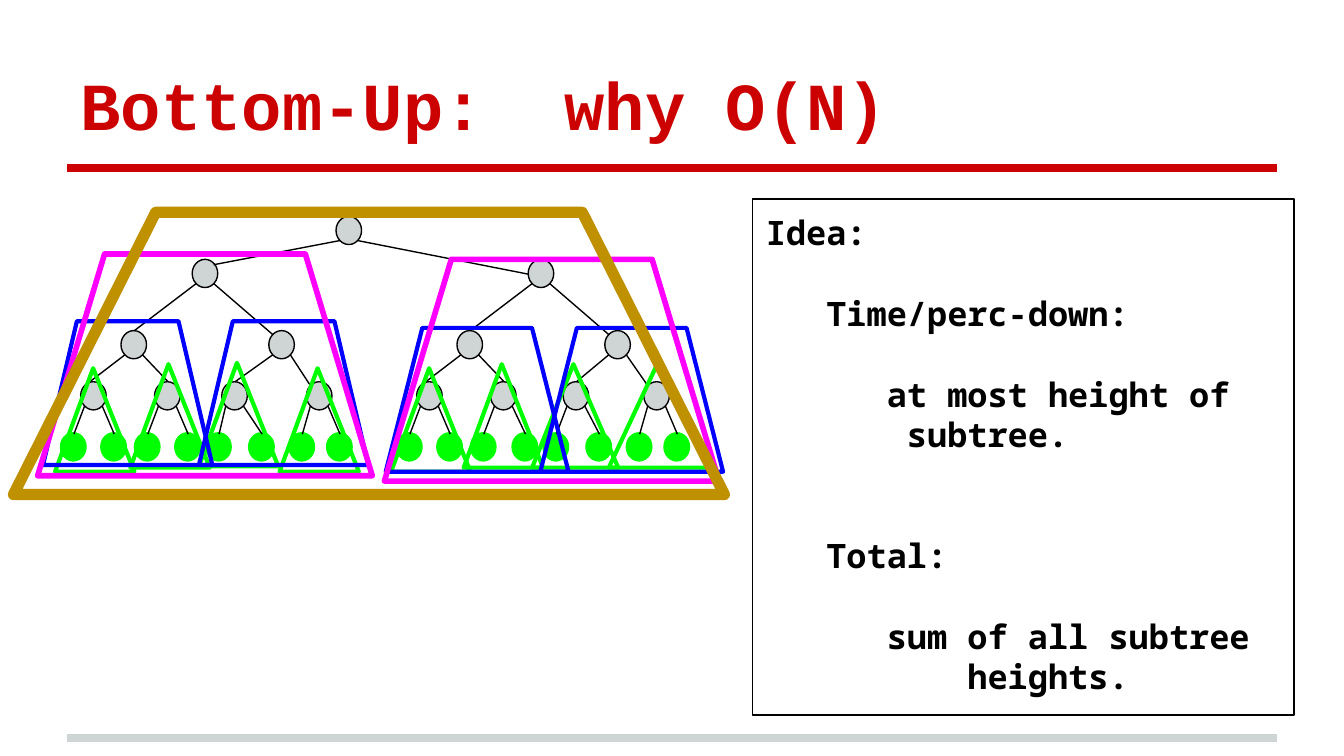
from dataclasses import dataclass
from itertools import cycle

from lxml.etree import SubElement
from pptx import Presentation
from pptx.dml.color import RGBColor
from pptx.enum.shapes import MSO_CONNECTOR as Connector, MSO_SHAPE as Shape
from pptx.enum.text import MSO_ANCHOR as Anchor, PP_ALIGN as Align
from pptx.oxml.ns import qn
from pptx.util import Inches, Pt

BLACK, GREY, RED = "000000", "CFD4D4", "CC0202"
GREEN, BLUE, MAGENTA, GOLD = "00FF00", "0000FF", "FF00FF", "BF9000"
SLIDE_WIDTH, SLIDE_HEIGHT = 10, 10 * 9 / 16
NODE_WIDTH, NODE_HEIGHT = 0.19, 0.21
CHARACTER_WIDTH, LINE_HEIGHT = 0.15, 21.6


@dataclass
class Level:
    top: float
    lefts: list
    landings: list
    line: str = BLACK
    fill: str = GREY


@dataclass
class Outline:
    kind: Shape
    color: str
    weight: float
    boxes: list


@dataclass
class Line:
    text: str
    indent: int = 0
    blanks_before: int = 0


LEVELS = [
    Level(1.61, [2.5], []),
    Level(1.93, [1.43, 3.93], [(0.16, 0.04), (0, 0.11)]),
    Level(2.46, [0.9, 2, 3.4, 4.5], [(0.1, 0), (0.03, 0.03)]),
    Level(2.84, [0.6, 1.15, 1.65, 2.28, 3.1, 3.65, 4.19, 4.79],
          [(0.03, 0.03), (0.1, 0), (0.1, 0), (0.03, 0.03)]),
    Level(3.22, [0.45, 0.75, 1, 1.3, 1.53, 1.85, 2.15, 2.43,
                 2.95, 3.25, 3.5, 3.81, 4.04, 4.36, 4.66, 4.94],
          [(0.1, 0.01)], GREEN, GREEN),
]

OUTLINES = [
    Outline(Shape.ISOSCELES_TRIANGLE, GREEN, 2.25, [
        (4.53, 2.71, 0.75, 0.77), (3.96, 2.71, 0.64, 0.77),
        (3.45, 2.71, 0.59, 0.77), (2.91, 2.74, 0.59, 0.77),
        (2.08, 2.74, 0.59, 0.77), (1.48, 2.7, 0.59, 0.77),
        (0.97, 2.71, 0.59, 0.77), (0.41, 2.74, 0.59, 0.77)]),
    Outline(Shape.FLOWCHART_MANUAL_OPERATION, BLUE, 2.25, [
        (4.02, 2.44, 1.36, 1.07), (2.87, 2.44, 1.36, 1.07),
        (1.48, 2.39, 1.26, 1.07), (0.32, 2.39, 1.26, 1.07)]),
    Outline(Shape.FLOWCHART_MANUAL_OPERATION, MAGENTA, 3, [
        (2.86, 1.93, 2.49, 1.65), (0.28, 1.89, 2.49, 1.65)]),
    Outline(Shape.FLOWCHART_MANUAL_OPERATION, GOLD, 6, [(0.1, 1.58, 5.29, 2.1)]),
]

IDEA = [
    Line("Idea:"),
    Line("Time/perc-down:", 3, 1),
    Line("at most height of", 6, 1),
    Line("subtree.", 7),
    Line("Total:", 3, 2),
    Line("sum of all subtree", 6, 1),
    Line("heights.", 10),
]


def rgb(color: str) -> RGBColor:
    """Turn a hex string into a colour."""
    return RGBColor.from_string(color)


def add_line(slide, start: tuple, end: tuple, color: str, weight: float):
    """Draw a straight line without a shadow."""
    line = slide.shapes.add_connector(
        Connector.STRAIGHT, *[Inches(value) for value in (*start, *end)])
    line.line.color.rgb = rgb(color)
    line.line.width = Pt(weight)
    SubElement(line._element.spPr, qn("a:effectLst"))


def add_shape(slide, kind: Shape, box: tuple, color: str, weight: float, fill: str = ""):
    """Draw a preset shape, hollow unless a fill is given."""
    shape = slide.shapes.add_shape(kind, *[Inches(value) for value in box])
    shape.shadow.inherit = False
    if fill:
        shape.fill.solid()
        shape.fill.fore_color.rgb = rgb(fill)
    else:
        shape.fill.background()
    shape.line.color.rgb = rgb(color)
    shape.line.width = Pt(weight)
    return shape


def format_font(font, name: str, size: float, color: str):
    """Apply a bold typeface, size and colour."""
    font.name, font.size, font.bold = name, Pt(size), True
    font.color.rgb = rgb(color)


def set_margins(frame):
    """Give a text frame equal margins on all sides."""
    frame.margin_left = frame.margin_right = Inches(0.1)
    frame.margin_top = frame.margin_bottom = Inches(0.1)


def add_title(slide, text: str):
    """Place and format the title placeholder."""
    title = slide.shapes.title
    title.left, title.top = Inches(0.5), Inches(0.23)
    title.width, title.height = Inches(9), Inches(0.94)
    frame = title.text_frame
    frame.text = text
    frame.word_wrap = True
    frame.vertical_anchor = Anchor.BOTTOM
    set_margins(frame)
    frame.paragraphs[0].alignment = Align.LEFT
    format_font(frame.paragraphs[0].runs[0].font, "Courier New", 36, RED)


def add_nodes(slide, level: Level):
    """Draw the nodes of one tree level."""
    for left in level.lefts:
        add_shape(slide, Shape.OVAL, (left, level.top, NODE_WIDTH, NODE_HEIGHT),
                  level.line, 0.75, level.fill)


def add_edges(slide, parents: Level, children: Level):
    """Join each child to its parent in a binary tree."""
    for index, (left, landing) in enumerate(zip(children.lefts, cycle(children.landings))):
        departure = 0.16 if index % 2 else 0.03
        start = (parents.lefts[index // 2] + departure, parents.top + 0.18)
        end = (left + landing[0], children.top + landing[1])
        add_line(slide, start, end, BLACK, 0.75)


def add_outlines(slide, outline: Outline):
    """Draw the subtree frames of one height."""
    for box in outline.boxes:
        shape = add_shape(slide, outline.kind, box, outline.color, outline.weight)
        SubElement(shape.line._get_or_add_ln(), qn("a:round"))
        if outline.kind == Shape.ISOSCELES_TRIANGLE:
            shape.adjustments[0] = 0.48
        else:
            shape.rotation = 180


def add_idea(slide, lines: list):
    """Write the explanation in a framed box."""
    shape = add_shape(slide, Shape.RECTANGLE, (5.6, 1.48, 4.03, 3.84), BLACK, 0.75)
    frame = shape.text_frame
    frame.word_wrap = True
    frame.vertical_anchor = Anchor.TOP
    set_margins(frame)
    frame.text = "\n".join(line.text for line in lines)
    for paragraph, line in zip(frame.paragraphs, lines):
        paragraph.alignment = Align.LEFT
        paragraph.line_spacing = Pt(LINE_HEIGHT)
        paragraph.space_before = Pt(line.blanks_before * LINE_HEIGHT)
        indent = Inches(line.indent * CHARACTER_WIDTH)
        paragraph._p.get_or_add_pPr().set("marL", str(indent))
        format_font(paragraph.runs[0].font, "Noto Sans Mono", 18, BLACK)


def main():
    """Build the slide and save it."""
    presentation = Presentation()
    presentation.slide_width = Inches(SLIDE_WIDTH)
    presentation.slide_height = Inches(SLIDE_HEIGHT)
    slide = presentation.slides.add_slide(presentation.slide_layouts[5])
    for height, color in ((5.49, GREY), (1.25, RED)):
        add_line(slide, (0.5, height), (9.5, height), color, 4)
    add_title(slide, "Bottom-Up:  why O(N)")
    for level in LEVELS:
        add_nodes(slide, level)
    for parents, children in zip(LEVELS, LEVELS[1:]):
        add_edges(slide, parents, children)
    for outline in OUTLINES:
        add_outlines(slide, outline)
    add_idea(slide, IDEA)
    presentation.save("out.pptx")


if __name__ == "__main__":
    main()
